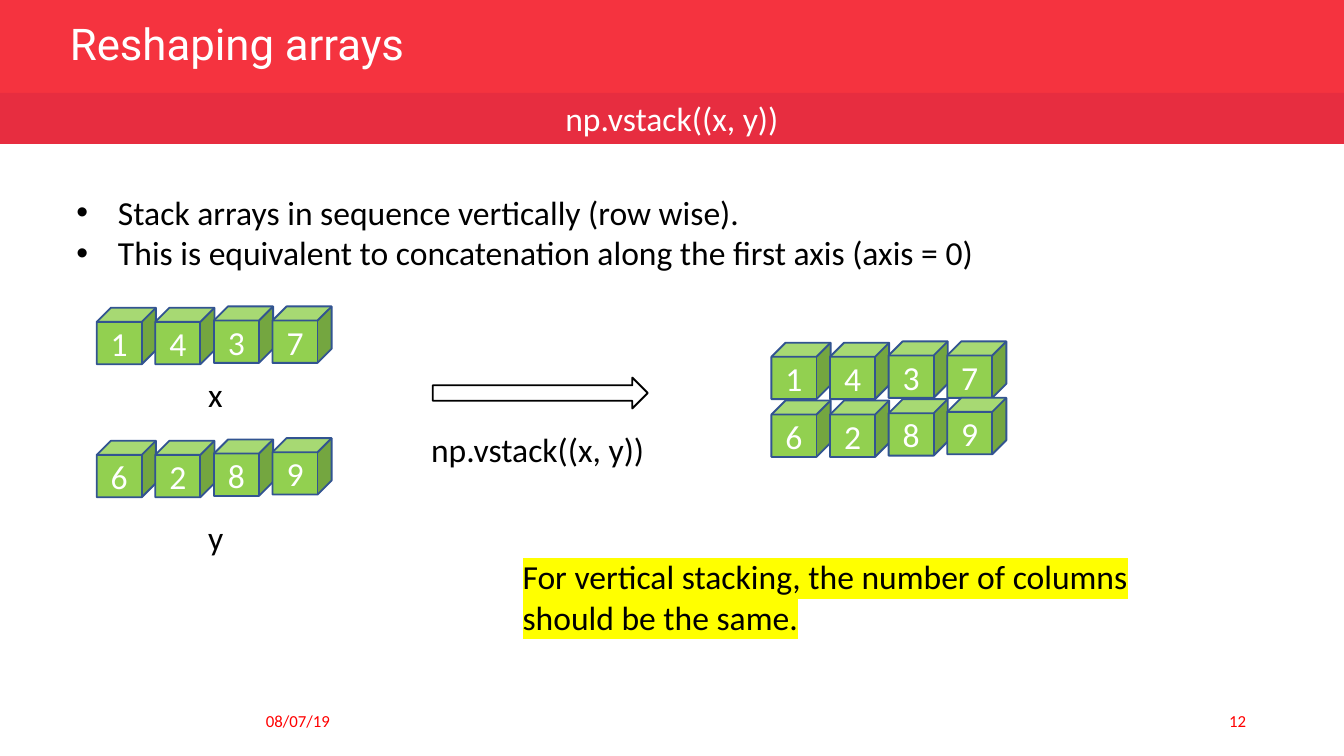
from dataclasses import dataclass

import pptx
import pptx.dml.color
import pptx.enum.shapes
import pptx.enum.text
import pptx.oxml
import pptx.oxml.ns
import pptx.util

Inches = pptx.util.Inches
Align = pptx.enum.text.PP_ALIGN
Anchor = pptx.enum.text.MSO_ANCHOR
Shape = pptx.enum.shapes.MSO_SHAPE

SLIDE_WIDTH = 10
SLIDE_HEIGHT = SLIDE_WIDTH * 9 / 16


@dataclass(frozen=True)
class Theme:
    header: str = "F5333F"
    band: str = "E72D40"
    cube: str = "92D050"
    cube_line: str = "325491"
    white: str = "FFFFFF"
    black: str = "000000"
    footer: str = "FF0000"
    highlight: str = "FFFF00"
    title_font: str = "Roboto"
    body_font: str = "Calibri"
    title_size: float = 23.4
    body_size: float = 18
    footer_size: float = 9


THEME = Theme()

# Each array row: its values and the small vertical shift of each cube
ROW_X = [(1, 0), (4, 0), (3, -0.01), (7, -0.01)]
ROW_Y = [(6, 0), (2, 0), (8, -0.01), (9, -0.02)]


def rgb(color):
    return pptx.dml.color.RGBColor.from_string(color)


def write(shape, lines, color=THEME.black, size=THEME.body_size,
          font=THEME.body_font, align=Align.LEFT, anchor=Anchor.TOP):
    """Set the text of a shape and format all its runs."""
    frame = shape.text_frame
    frame.text = lines
    frame.word_wrap = True
    frame.auto_size = pptx.enum.text.MSO_AUTO_SIZE.NONE
    frame.vertical_anchor = anchor
    for paragraph in frame.paragraphs:
        paragraph.alignment = align
        for run in paragraph.runs:
            run.font.name = font
            run.font.size = pptx.util.Pt(size)
            run.font.color.rgb = rgb(color)
    return frame


def add_text(slide, box, lines, **style):
    shape = slide.shapes.add_textbox(*map(Inches, box))
    return write(shape, lines, **style)


def add_block(shapes, kind, box, fill, line=None):
    shape = shapes.add_shape(kind, *map(Inches, box))
    shape.shadow.inherit = False
    shape.fill.solid()
    shape.fill.fore_color.rgb = rgb(fill)
    if line:
        shape.line.color.rgb = rgb(line)
        shape.line.width = pptx.util.Pt(1)
    else:
        shape.line.fill.background()
    return shape


def add_bullets(frame, indent):
    for paragraph in frame.paragraphs:
        properties = paragraph._p.get_or_add_pPr()
        properties.set("marL", str(Inches(indent)))
        properties.set("indent", str(-Inches(indent)))
        for tag, attribute, value in (("buFont", "typeface", "Arial"),
                                      ("buChar", "char", "•")):
            bullet = pptx.oxml.parse_xml(
                f'<a:{tag} {pptx.oxml.ns.nsdecls("a")} {attribute}="{value}"/>')
            properties.append(bullet)


def highlight(frame, color):
    for paragraph in frame.paragraphs:
        for run in paragraph.runs:
            fill = run._r.get_or_add_rPr().find(pptx.oxml.ns.qn("a:solidFill"))
            fill.addnext(pptx.oxml.parse_xml(
                f'<a:highlight {pptx.oxml.ns.nsdecls("a")}>'
                f'<a:srgbClr val="{color}"/></a:highlight>'))


def add_header(slide, left, top, width):
    """Title bar with the subtitle band under it."""
    bar = add_block(slide.shapes, Shape.RECTANGLE, (left, top, width, 0.7), THEME.header)
    title = slide.shapes.title
    bar._element.getparent().insert(2, bar._element)  # behind the title
    title.left, title.top = Inches(left + 0.42), Inches(top + 0.14)
    title.width, title.height = Inches(4.69), Inches(0.44)
    frame = write(title, "Reshaping arrays", THEME.white, THEME.title_size,
                  THEME.title_font, anchor=Anchor.MIDDLE)
    frame.paragraphs[0].line_spacing = 0.8

    band = add_block(slide.shapes, Shape.RECTANGLE,
                     (left, top + 0.69, width, 0.38), THEME.band)
    write(band, "np.vstack((x, y))", THEME.white, align=Align.CENTER,
          anchor=Anchor.MIDDLE)


def add_array(slide, left, top, rows):
    """Group of cubes, one line of cubes for each row."""
    pitch, row_pitch = 0.436, 0.43
    group = slide.shapes.add_group_shape()
    for row_index, row in enumerate(rows):
        for column, (value, shift) in enumerate(row):
            box = (left + column * pitch, top + row_index * row_pitch + shift, 0.44, 0.42)
            cube = add_block(group.shapes, Shape.CUBE, box, THEME.cube, THEME.cube_line)
            frame = write(cube, str(value), THEME.white, align=Align.CENTER,
                          anchor=Anchor.MIDDLE)
            frame.margin_left = frame.margin_right = 0


def add_stacking(slide, left, top):
    """Arrays x and y, the arrow and the stacked result."""
    add_array(slide, left, top, [ROW_X])
    add_array(slide, left, top + 0.99, [ROW_Y])
    add_text(slide, (left + 0.73, top + 0.44, 0.44, 0.4), "x")
    add_text(slide, (left + 0.73, top + 1.51, 0.44, 0.4), "y")
    add_block(slide.shapes, Shape.RIGHT_ARROW,
              (left + 2.5, top + 0.52, 1.6, 0.23), THEME.white, THEME.black)
    add_text(slide, (left + 2.39, top + 0.85, 2, 0.71), "np.vstack((x, y))")
    add_array(slide, left + 5.02, top + 0.26, [ROW_X, ROW_Y])


def add_footer(slide, left, top):
    """Date and slide number."""
    style = dict(color=THEME.footer, size=THEME.footer_size, anchor=Anchor.MIDDLE)
    add_text(slide, (left, top, 2.25, 0.3), "08/07/19", **style)
    add_text(slide, (left + 5.24, top, 2.25, 0.3), "12", align=Align.RIGHT, **style)


def main():
    presentation = pptx.Presentation()
    presentation.slide_width = Inches(SLIDE_WIDTH)
    presentation.slide_height = Inches(SLIDE_HEIGHT)
    slide = presentation.slides.add_slide(presentation.slide_layouts[5])

    add_header(slide, 0, 0, SLIDE_WIDTH)
    bullets = add_text(
        slide, (0.47, 1.38, 8.37, 0.71),
        "Stack arrays in sequence vertically (row wise).\n"
        "This is equivalent to concatenation along the first axis (axis = 0)")
    add_bullets(bullets, 0.31)
    add_stacking(slide, 0.72, 2.29)
    note = add_text(slide, (3.79, 4.09, 4.8, 0.71),
                    "For vertical stacking, the number of columns should be the same.")
    highlight(note, THEME.highlight)
    add_footer(slide, 1.88, 5.21)

    presentation.save("out.pptx")


if __name__ == "__main__":
    main()
